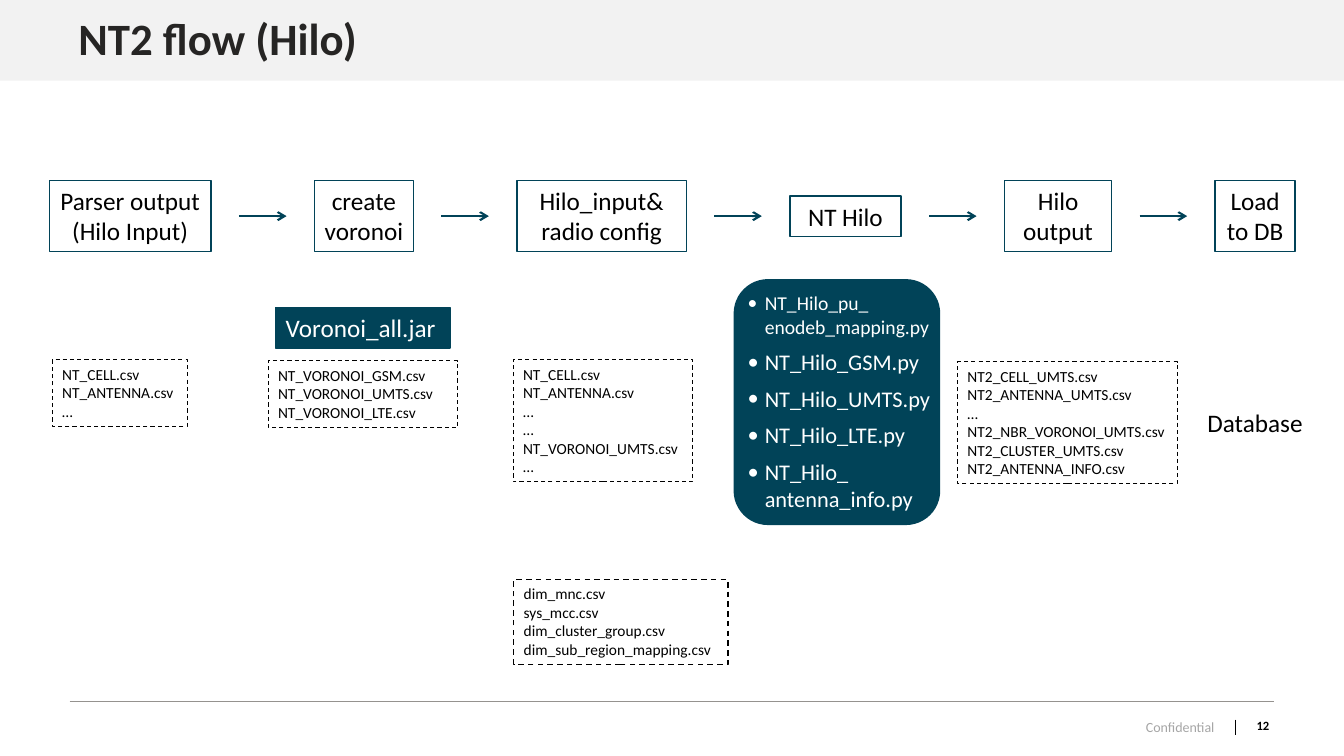
from lxml import etree
from pptx import Presentation
from pptx.dml.color import RGBColor
from pptx.enum import dml, shapes, text
from pptx.oxml import ns
from pptx.util import Pt

TEAL, BLACK, WHITE = "014358", "000000", "FFFFFF"

TITLE = "NT2 flow (Hilo)"
CONFIDENTIAL = "Confidential"
PAGE = "12"

# lines, width, height
STEPS = [
    (["Parser output", "(Hilo Input)"], 115.5, 51),
    (["create", "voronoi"], 70.5, 51),
    (["Hilo_input& radio config"], 121, 51),
    (["NT Hilo"], 79.4, 29),
    (["Hilo output"], 76.4, 51),
    (["Load to DB"], 57, 51),
]
STEP_LEFT, STEP_MIDDLE, STEP_GAP, ARROW_INSET = 35.2, 154.4, 74, 20

# left, top, width, height, border, lines
FILE_LISTS = [
    (37.4, 257, 96.5, 47.5, 0.75, ["NT_CELL.csv", "NT_ANTENNA.csv", "…"]),
    (191.5, 257.8, 135.4, 47.5, 0.75,
     ["NT_VORONOI_GSM.csv", "NT_VORONOI_UMTS.csv", "NT_VORONOI_LTE.csv"]),
    (366.5, 257, 128.5, 87, 0.75,
     ["NT_CELL.csv", "NT_ANTENNA.csv", "…", "…", "NT_VORONOI_UMTS.csv", "…"]),
    (367, 414, 153, 60.5, 1,
     ["dim_mnc.csv", "sys_mcc.csv", "dim_cluster_group.csv", "dim_sub_region_mapping.csv"]),
    (684, 258.4, 157.2, 87, 0.75,
     ["NT2_CELL_UMTS.csv", "NT2_ANTENNA_UMTS.csv", "…", "NT2_NBR_VORONOI_UMTS.csv",
      "NT2_CLUSTER_UMTS.csv", "NT2_ANTENNA_INFO.csv"]),
]

JAR = "Voronoi_all.jar"
DATABASE = "Database"

# script, font size
SCRIPTS = [
    ("NT_Hilo_pu_ enodeb_mapping.py", 14),
    ("NT_Hilo_GSM.py", 16),
    ("NT_Hilo_UMTS.py", 16),
    ("NT_Hilo_LTE.py", 16),
    ("NT_Hilo_ antenna_info.py", 16),
]

deck = Presentation()
deck.slide_width, deck.slide_height = Pt(960), Pt(540)
slide = deck.slides.add_slide(deck.slide_layouts[6])


def rgb(value):
    return RGBColor.from_string(value)


def write(holder, lines, sizes=18, color=BLACK, bold=False, align=text.PP_ALIGN.LEFT,
          anchor=text.MSO_ANCHOR.TOP, wrap=True, spacing=None, bullet_indent=0, gap=0):
    """Put one paragraph per line; sizes is one size or a list of them."""
    frame = holder.text_frame
    frame.word_wrap, frame.vertical_anchor = wrap, anchor
    for i, line in enumerate(lines):
        para = frame.paragraphs[0] if i == 0 else frame.add_paragraph()
        para.alignment = align
        if spacing:
            para.line_spacing = spacing
        if gap and i:
            para.space_before = Pt(gap)
        if bullet_indent:
            props = para._p.get_or_add_pPr()
            props.set("marL", str(Pt(bullet_indent)))
            props.set("indent", str(-Pt(bullet_indent)))
            etree.SubElement(props, ns.qn("a:buFont")).set("typeface", "Calibri")
            etree.SubElement(props, ns.qn("a:buChar")).set("char", "•")
        run = para.add_run()
        run.text = line
        run.font.name, run.font.bold = "Calibri", bold
        run.font.size = Pt(sizes[i] if isinstance(sizes, list) else sizes)
        run.font.color.rgb = rgb(color)


def label(left, top, width, height, lines, **style):
    write(slide.shapes.add_textbox(Pt(left), Pt(top), Pt(width), Pt(height)), lines, **style)


def box(left, top, width, height, fill=None, border=None, border_width=1, dashed=False,
        kind=shapes.MSO_SHAPE.RECTANGLE):
    part = slide.shapes.add_shape(kind, Pt(left), Pt(top), Pt(width), Pt(height))
    part.shadow.inherit = False
    if fill:
        part.fill.solid()
        part.fill.fore_color.rgb = rgb(fill)
    else:
        part.fill.background()
    if border:
        part.line.color.rgb = rgb(border)
        part.line.width = Pt(border_width)
        if dashed:
            part.line.dash_style = dml.MSO_LINE.DASH
    else:
        part.line.fill.background()
    return part


def rule(x1, y1, x2, y2, color, width, arrow=False):
    line = slide.shapes.add_connector(
        shapes.MSO_CONNECTOR.STRAIGHT, Pt(x1), Pt(y1), Pt(x2), Pt(y2))
    line.line.color.rgb = rgb(color)
    line.line.width = Pt(width)
    if arrow:
        etree.SubElement(line.line._get_or_add_ln(), ns.qn("a:tailEnd")).set("type", "arrow")
    etree.SubElement(line._element.spPr, ns.qn("a:effectLst"))


# Header and footer
box(0, 0, 960, 57.6, fill="F2F2F2")
label(49, 9.4, 859, 39.6, [TITLE], sizes=32, color="262524", bold=True, spacing=0.9,
      anchor=text.MSO_ANCHOR.MIDDLE)
rule(49.7, 501, 910, 501, "95928F", 0.25)
rule(882.7, 514, 882.7, 525, BLACK, 1)
label(811.4, 509.8, 65.5, 19.4, [CONFIDENTIAL], sizes=10, color="A6A6A6")
label(877, 504, 36.7, 28.8, [PAGE], sizes=9, bold=True, align=text.PP_ALIGN.RIGHT,
      anchor=text.MSO_ANCHOR.MIDDLE)

# Row of steps, with an arrow in each gap
left = STEP_LEFT
for i, (lines, width, height) in enumerate(STEPS):
    if i:
        rule(left - STEP_GAP + ARROW_INSET, STEP_MIDDLE, left - ARROW_INSET, STEP_MIDDLE,
             TEAL, 1.5, arrow=True)
    step = box(left, STEP_MIDDLE - height / 2, width, height, fill=WHITE, border=TEAL)
    write(step, lines, align=text.PP_ALIGN.CENTER, wrap=len(lines) == 1)
    left += width + STEP_GAP

# Files and programs under the steps
for x, y, width, height, border_width, lines in FILE_LISTS:
    write(box(x, y, width, height, border=BLACK, border_width=border_width, dashed=True),
          lines, sizes=11)
write(box(197, 219.6, 124.6, 29, fill=TEAL, border=TEAL), [JAR], color=WHITE)
label(855.4, 287.3, 86, 29, [DATABASE])

box(524, 199.4, 147.6, 175.7, fill=TEAL, kind=shapes.MSO_SHAPE.ROUNDED_RECTANGLE)
scripts, script_sizes = zip(*SCRIPTS)
label(527, 204.5, 159, 167, scripts, sizes=list(script_sizes), color=WHITE,
      bullet_indent=12.2, gap=7)

deck.save("out.pptx")
